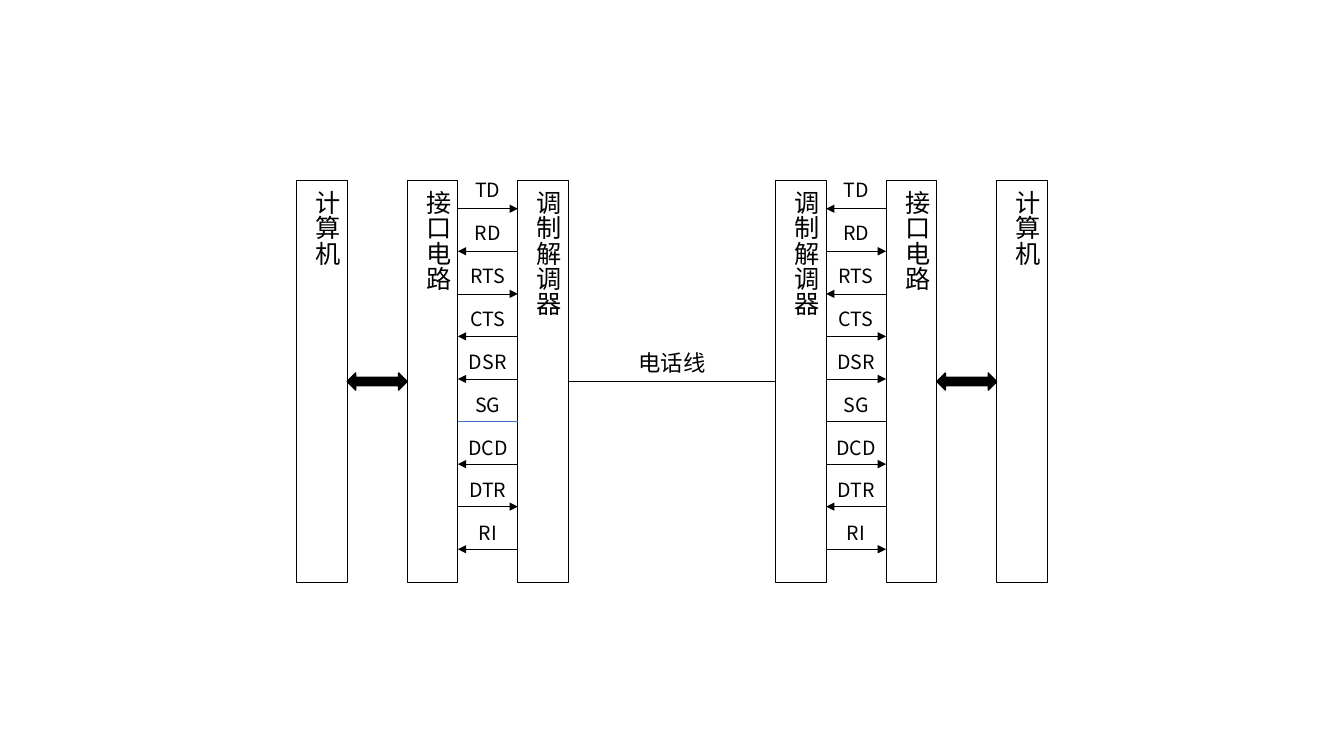
from dataclasses import dataclass

from lxml.etree import SubElement
from pptx import Presentation
from pptx.dml.color import RGBColor
from pptx.enum.shapes import MSO_CONNECTOR as Line, MSO_SHAPE as Preset
from pptx.enum.text import MSO_AUTO_SIZE as AutoSize, PP_ALIGN as Align
from pptx.oxml.ns import qn
from pptx.util import Cm, Pt


@dataclass(frozen=True)
class Theme:
    """Colours, font, type sizes and line widths."""
    ink: RGBColor = RGBColor(0x00, 0x00, 0x00)
    accent: RGBColor = RGBColor(0x44, 0x72, 0xC4)
    font: str = "Noto Sans CJK SC"
    device_size: Pt = Pt(18)
    phone_size: Pt = Pt(16)
    signal_size: Pt = Pt(14)
    outline: Pt = Pt(0.75)
    bus_outline: Pt = Pt(1)
    wire: Pt = Pt(0.5)


THEME = Theme()

# Lengths in centimetres
DEVICE_WIDTH, DEVICE_HEIGHT, DEVICE_TOP = 1.28, 10.13, 4.55
GAP = 1.51
PITCH = DEVICE_WIDTH + GAP
MIDDLE = DEVICE_TOP + DEVICE_HEIGHT / 2
BUS_HEIGHT = 0.43
WIRE_TOP, WIRE_STEP = 5.26, 1.0725
LABEL_TOP, LABEL_STEP, LABEL_HEIGHT = 4.37, 1.08, 0.86

LEFT_STATION, RIGHT_STATION = 7.47, 19.54
DEVICES = ["计算机", "接口电路", "调制解调器"]
# Direction seen from the interface: 1 to the modem, -1 from it, 0 no arrow
SIGNALS = {"TD": 1, "RD": -1, "RTS": 1, "CTS": -1, "DSR": -1,
           "SG": 0, "DCD": -1, "DTR": 1, "RI": -1}


def apply_format(target, values):
    """Set every attribute named in values on target."""
    for name, value in values.items():
        setattr(target, name, value)


def write_text(shape, text, size):
    """Put one centred line of themed text in a shape."""
    frame = shape.text_frame
    apply_format(frame, {"word_wrap": True,
                         "auto_size": AutoSize.SHAPE_TO_FIT_TEXT})
    paragraph = frame.paragraphs[0]
    paragraph.alignment = Align.CENTER
    run = paragraph.add_run()
    run.text = text
    apply_format(run.font, {"size": size, "name": THEME.font})
    run.font.color.rgb = THEME.ink
    SubElement(run.font._element, qn("a:ea"), typeface=THEME.font)


def add_preset(shapes, preset, box, outline):
    """Add an unfilled, shadowless preset shape with an ink outline."""
    shape = shapes.add_shape(preset, *map(Cm, box))
    shape.shadow.inherit = False
    shape.fill.background()
    shape.line.color.rgb = THEME.ink
    shape.line.width = outline
    return shape


def add_device(shapes, left, name):
    """Add a tall device block with vertical text."""
    device = add_preset(shapes, Preset.RECTANGLE,
                        (left, DEVICE_TOP, DEVICE_WIDTH, DEVICE_HEIGHT),
                        THEME.outline)
    write_text(device, name, THEME.device_size)
    frame_body = device.element.txBody.find(qn("a:bodyPr"))
    for name, value in {"vert": "eaVert", "anchor": "t"}.items():
        frame_body.set(name, value)


def add_bus(shapes, left):
    """Add the solid two-way arrow between computer and interface."""
    bus = add_preset(shapes, Preset.LEFT_RIGHT_ARROW,
                     (left, MIDDLE - BUS_HEIGHT / 2, GAP, BUS_HEIGHT),
                     THEME.bus_outline)
    bus.fill.solid()
    bus.fill.fore_color.rgb = THEME.ink


def add_wire(shapes, start, end, y, arrow=False, color=THEME.ink):
    """Add a horizontal line, with an arrowhead at its end if asked."""
    wire = shapes.add_connector(Line.STRAIGHT, Cm(start), Cm(y), Cm(end), Cm(y))
    wire.line.color.rgb = color
    wire.line.width = THEME.wire
    properties = wire.element.spPr
    if arrow:
        SubElement(properties.find(qn("a:ln")), qn("a:tailEnd"), type="triangle")
    SubElement(properties, qn("a:effectLst"))


def add_label(shapes, box, text, size):
    """Add a centred text box."""
    write_text(shapes.add_textbox(*map(Cm, box)), text, size)


def add_signals(shapes, left, mirrored, ground_color):
    """Add the labelled signal wires between interface and modem."""
    right = left + GAP
    for row, (signal, direction) in enumerate(SIGNALS.items()):
        rightward = direction == 0 or (direction > 0) != mirrored
        start, end = (left, right) if rightward else (right, left)
        add_wire(shapes, start, end, WIRE_TOP + row * WIRE_STEP,
                 arrow=direction != 0,
                 color=THEME.ink if direction else ground_color)
        add_label(shapes,
                  (left, LABEL_TOP + row * LABEL_STEP, GAP, LABEL_HEIGHT),
                  signal, THEME.signal_size)


def add_station(shapes, left, mirrored, ground_color):
    """Add computer, interface and modem with the links between them."""
    names = DEVICES[::-1] if mirrored else DEVICES
    for column, name in enumerate(names):
        add_device(shapes, left + column * PITCH, name)
    gaps = [left + DEVICE_WIDTH, left + DEVICE_WIDTH + PITCH]
    signal_gap, bus_gap = gaps if mirrored else gaps[::-1]
    add_bus(shapes, bus_gap)
    add_signals(shapes, signal_gap, mirrored, ground_color)


def add_phone_line(shapes):
    """Join the two modems with the labelled telephone line."""
    start = LEFT_STATION + 2 * PITCH + DEVICE_WIDTH
    add_wire(shapes, start, RIGHT_STATION, MIDDLE)
    width, height = 2.84, 0.94
    center = (start + RIGHT_STATION) / 2
    add_label(shapes, (center - width / 2, MIDDLE - height - 0.01, width, height),
              "电话线", THEME.phone_size)


def main():
    """Build and save the slide."""
    deck = Presentation()
    apply_format(deck, {"slide_width": Cm(33.87), "slide_height": Cm(19.05)})
    slide = deck.slides.add_slide(deck.slide_layouts[6])
    diagram = slide.shapes.add_group_shape().shapes
    add_station(diagram, LEFT_STATION, False, THEME.accent)
    add_station(diagram, RIGHT_STATION, True, THEME.ink)
    add_phone_line(diagram)
    deck.save("out.pptx")


main()
